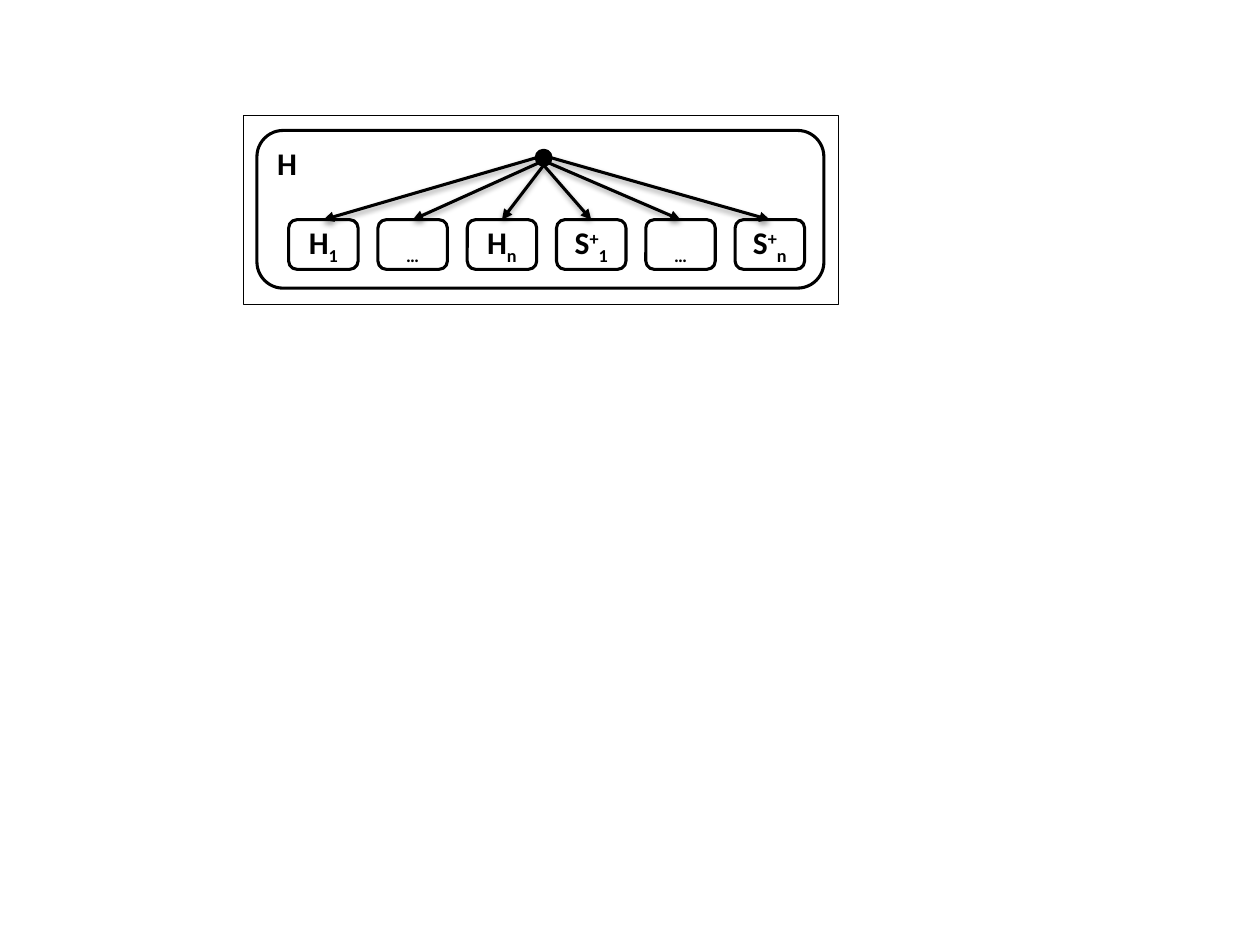
"""Build a slide with a tree of parallel regions inside state H."""
from math import cos, radians, sin

from lxml.etree import SubElement
from pptx import Presentation
from pptx.dml.color import RGBColor
from pptx.enum.shapes import MSO_CONNECTOR as Connector, MSO_SHAPE as Shape
from pptx.enum.text import MSO_ANCHOR as Anchor, PP_ALIGN as Align
from pptx.oxml.ns import qn
from pptx.util import Cm, Pt

BLACK = RGBColor(0, 0, 0)
WHITE = RGBColor(255, 255, 255)

NORMAL, SUB, SUPER = 0, -25000, 30000
STATE = [("H", NORMAL)]
REGIONS = [
    [("H", NORMAL), ("1", SUB)],
    [("…", SUB)],
    [("H", NORMAL), ("n", SUB)],
    [("S", NORMAL), ("+", SUPER), ("1", SUB)],
    [("…", SUB)],
    [("S", NORMAL), ("+", SUPER), ("n", SUB)],
]
FORK_ANGLES = [180, 135, 90, 90, 45, 0]

FRAME = (4.9, 2.33, 11.99, 3.8)
PANEL = (5.18, 2.63, 11.43, 3.18)
REGION_LEFT, REGION_TOP, REGION_WIDTH, REGION_HEIGHT = 5.82, 4.43, 1.4, 1
REGION_PITCH = 1.8
FORK_X, FORK_Y, FORK_RADIUS = 10.96, 3.18, 0.15
LABEL_FONT = {"name": "Calibri", "size": Pt(18), "bold": True}
SHADOW = {"blurRad": "40000", "dist": "20000", "dir": "5400000", "rotWithShape": "0"}


def add_box(shapes, kind, place, fill=WHITE, width=1.75):
    box = shapes.add_shape(kind, *(Cm(length) for length in place))
    box.shadow.inherit = False
    box.fill.solid()
    box.fill.fore_color.rgb = fill
    box.line.color.rgb = BLACK
    box.line.width = Pt(width)
    return box


def write_label(box, parts, align, anchor, wrap):
    frame = box.text_frame
    frame.word_wrap = wrap
    frame.vertical_anchor = anchor
    paragraph = frame.paragraphs[0]
    paragraph.alignment = align
    for text, baseline in parts:
        run = paragraph.add_run()
        run.text = text
        for name, value in LABEL_FONT.items():
            setattr(run.font, name, value)
        run.font.color.rgb = BLACK
        if baseline:
            run.font._element.set("baseline", str(baseline))


def add_arrow(shapes, angle, region):
    x = FORK_X + FORK_RADIUS * cos(radians(angle))
    y = FORK_Y + FORK_RADIUS * sin(radians(angle))
    arrow = shapes.add_connector(Connector.STRAIGHT, Cm(x), Cm(y), Cm(x), Cm(y))
    arrow.end_connect(region, 0)
    arrow.line.color.rgb = BLACK
    arrow.line.width = Pt(1.75)
    properties = arrow._element.spPr
    SubElement(properties.find(qn("a:ln")), qn("a:tailEnd"), type="triangle")
    effects = SubElement(properties, qn("a:effectLst"))
    shadow = SubElement(effects, qn("a:outerShdw"), SHADOW)
    color = SubElement(shadow, qn("a:srgbClr"), val=str(BLACK))
    SubElement(color, qn("a:alpha"), val="38000")


def main():
    deck = Presentation()
    deck.slide_width, deck.slide_height = Cm(25.4), Cm(19.05)
    slide = deck.slides.add_slide(deck.slide_layouts[6])
    add_box(slide.shapes, Shape.RECTANGLE, FRAME, width=0.25)

    diagram = slide.shapes.add_group_shape().shapes
    panel = add_box(diagram, Shape.ROUNDED_RECTANGLE, PANEL)
    write_label(panel, STATE, Align.LEFT, Anchor.TOP, True)
    fork_place = (FORK_X - FORK_RADIUS, FORK_Y - FORK_RADIUS, 2 * FORK_RADIUS, 2 * FORK_RADIUS)
    add_box(diagram, Shape.OVAL, fork_place, BLACK)

    for index, (parts, angle) in enumerate(zip(REGIONS, FORK_ANGLES)):
        left = REGION_LEFT + index * REGION_PITCH
        place = (left, REGION_TOP, REGION_WIDTH, REGION_HEIGHT)
        region = add_box(diagram, Shape.ROUNDED_RECTANGLE, place)
        write_label(region, parts, Align.CENTER, Anchor.MIDDLE, False)
        add_arrow(diagram, angle, region)

    deck.save("out.pptx")


if __name__ == "__main__":
    main()
